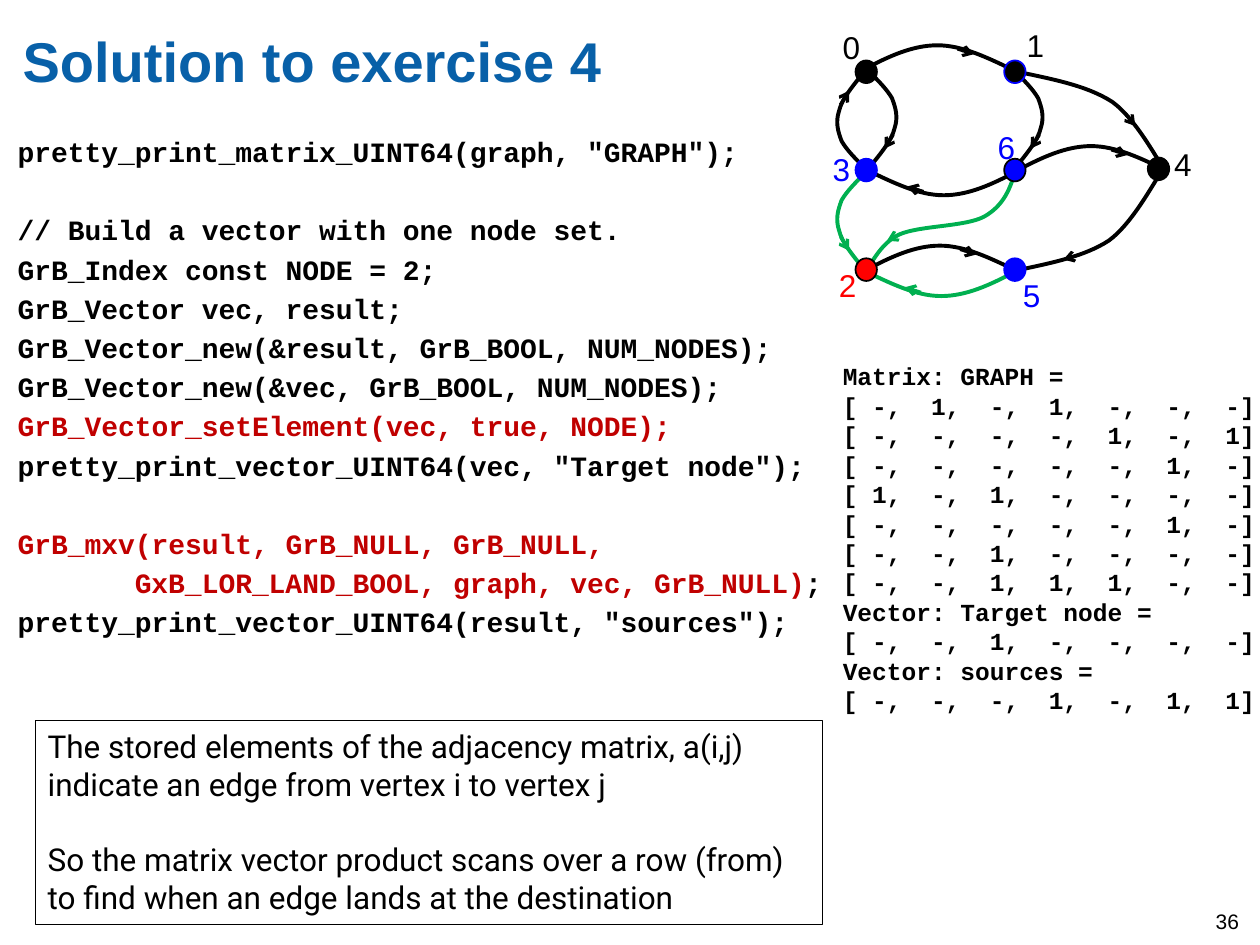
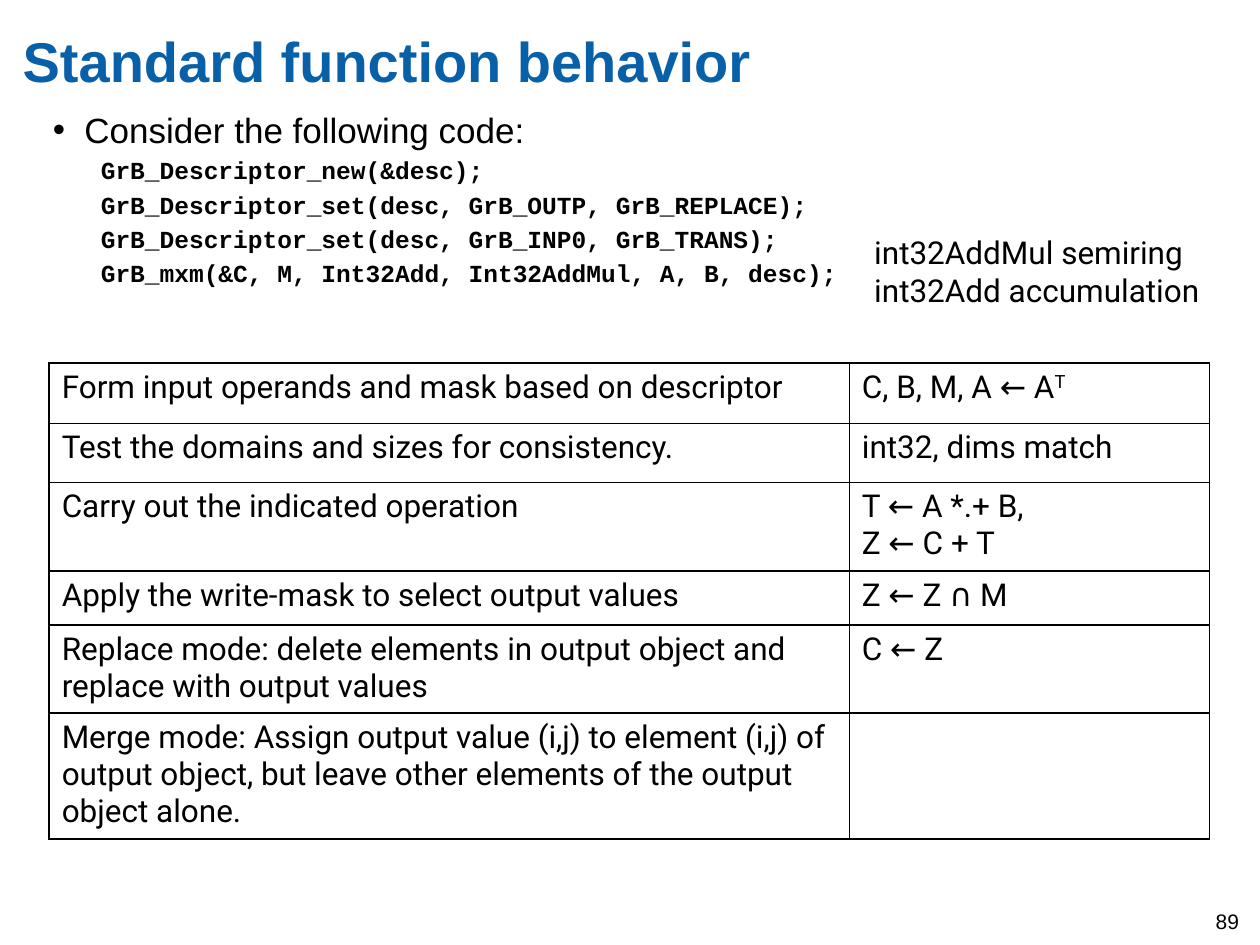
from dataclasses import dataclass, replace
from pptx import Presentation
from pptx.dml.color import RGBColor
from pptx.enum.shapes import MSO_CONNECTOR, MSO_SHAPE
from pptx.enum.text import MSO_ANCHOR, PP_ALIGN
from pptx.oxml.ns import qn
from pptx.util import Inches, Pt
from lxml.etree import SubElement

BLACK, TITLE_BLUE, DARK_RED = "000000", "0860A8", "C00000"
BLUE, RED, GREEN = "0000FF", "FF0000", "00B050"


@dataclass(frozen=True)
class Style:
    """Character formatting of a run."""
    size: float
    font: str
    colour: str = BLACK
    bold: bool = False


@dataclass(frozen=True)
class Line:
    """A paragraph: its (text, style) runs, space before, indent and bullet."""
    runs: tuple
    space: float = 0
    indent: float = 0
    bullet: str = ""


TITLE = Style(32, "Arial", TITLE_BLUE, True)
BULLET = Style(20, "Arial")
LABEL = Style(18, "Arial")
PAGE_NUMBER = Style(12, "Arial")
NOTE = Style(18, "Roboto")
CODE = Style(16, "Courier New", bold=True)
CODE_RED = replace(CODE, colour=DARK_RED)
SMALL_CODE = replace(CODE, size=14)

CODE_GAP = 3.2
SECTION_GAP = 25.5
CALL_INDENT = 0.93

SOLUTION_CODE = [
    Line((('pretty_print_matrix_UINT64(graph, "GRAPH");', CODE),), CODE_GAP),
    Line((("// Build a vector with one node set.", CODE),), SECTION_GAP),
    Line((("GrB_Index const NODE = 2;", CODE),), CODE_GAP),
    Line((("GrB_Vector vec, result;", CODE),), CODE_GAP),
    Line((("GrB_Vector_new(&result, GrB_BOOL, NUM_NODES);", CODE),), CODE_GAP),
    Line((("GrB_Vector_new(&vec, GrB_BOOL, NUM_NODES);", CODE),), CODE_GAP),
    Line((("GrB_Vector_setElement(vec, true, NODE);", CODE_RED),), CODE_GAP),
    Line((('pretty_print_vector_UINT64(vec, "Target node");', CODE),), CODE_GAP),
    Line((("GrB_mxv(result, GrB_NULL, GrB_NULL,", CODE_RED),), SECTION_GAP),
    Line((("GxB_LOR_LAND_BOOL, graph, vec, GrB_NULL)", CODE_RED), (";", CODE)),
         CODE_GAP, CALL_INDENT),
    Line((('pretty_print_vector_UINT64(result, "sources");', CODE),), CODE_GAP),
]

PRINTED_OUTPUT = [
    ("Matrix: GRAPH =", ["-1-1---", "----1-1", "-----1-", "1-1----",
                         "-----1-", "--1----", "--111--"]),
    ("Vector: Target node =", ["--1----"]),
    ("Vector: sources =", ["---1-11"]),
]

DESCRIPTOR_CODE = [
    "GrB_Descriptor_new(&desc);",
    "GrB_Descriptor_set(desc, GrB_OUTP, GrB_REPLACE);",
    "GrB_Descriptor_set(desc, GrB_INP0, GrB_TRANS);",
    "GrB_mxm(&C, M, Int32Add, Int32AddMul, A, B, desc);",
]

STEPS = [
    (0.48, "Form input operands and mask based on descriptor", ["C, B, M, A ← A"]),
    (0.47, "Test the domains and sizes for consistency.", ["int32, dims match"]),
    (0.51, "Carry out the indicated operation", ["T ← A *.+ B,", "Z ← C + T"]),
    (0.43, "Apply the write-mask to select output values", ["Z ← Z ∩ M"]),
    (0.43, "Replace mode: delete elements in output object and replace with "
           "output values", ["C ← Z"]),
    (0.43, "Merge mode: Assign output value (i,j) to element (i,j) of output "
           "object, but leave other elements of the output object alone.", []),
]

SWEEP_POINTS = [(0, 0), (-0.07, 0.1), (-0.23, 0.41), (-0.42, 0.55),
                (-0.62, 0.68), (-0.89, 0.73), (-1.17, 0.79)]
ARCH = ([(0, 0), (0.19, -0.1), (0.38, -0.19), (0.58, -0.19),
         (0.78, -0.19), (0.98, -0.09), (1.19, 0.01)],
        [(0.74, -0.16), (0.87, -0.12)])
BOW = ([(0, 0), (0.07, 0.07), (0.14, 0.14), (0.18, 0.21), (0.21, 0.29),
        (0.23, 0.36), (0.2, 0.45), (0.18, 0.54), (0.09, 0.65), (0, 0.76)],
       [(0.19, 0.5), (0.12, 0.61)])
SWEEP_OUT = (SWEEP_POINTS, [(-0.65, 0.66), (-0.78, 0.7)])
SWEEP_IN = (SWEEP_POINTS, [(-0.32, 0.46), (-0.24, 0.36)])
DIP = ([(0, 0), (-0.04, 0.14), (-0.09, 0.28), (-0.25, 0.37), (-0.4, 0.45),
        (-0.76, 0.44), (-0.92, 0.51), (-1.07, 0.58), (-1.13, 0.73), (-1.18, 0.78)],
       [(-0.9, 0.5), (-1.02, 0.56)])

EDGES = [
    (BOW, 6.86, 1.33, -1, -1, BLACK),
    (BOW, 6.9, 0.57, 1, 1, BLACK),
    (ARCH, 6.86, 0.55, 1, 1, BLACK),
    (DIP, 8.06, 1.35, 1, 1, GREEN),
    (ARCH, 8.08, 1.35, 1, 1, BLACK),
    (ARCH, 6.88, 2.14, 1, 1, BLACK),
    (ARCH, 8.05, 2.16, -1, -1, GREEN),
    (ARCH, 8.07, 1.36, -1, -1, BLACK),
    (BOW, 6.86, 1.38, -1, 1, GREEN),
    (BOW, 8.06, 0.57, 1, 1, BLACK),
    (SWEEP_OUT, 9.22, 1.36, 1, 1, BLACK),
    (SWEEP_IN, 9.25, 1.36, 1, -1, BLACK),
]

NODES = [
    ("5", 7.97, 2.05, BLUE, BLUE, 8.02, 2.14, BLUE),
    ("3", 6.79, 1.26, BLUE, BLUE, 6.51, 1.14, BLUE),
    ("2", 6.79, 2.05, RED, BLACK, 6.56, 2.06, RED),
    ("1", 7.97, 0.48, BLACK, BLUE, 8.05, 0.16, BLACK),
    ("0", 6.79, 0.48, BLACK, BLACK, 6.59, 0.17, BLACK),
    ("4", 9.11, 1.25, BLACK, BLACK, 9.22, 1.1, BLACK),
    ("6", 7.97, 1.26, BLUE, BLACK, 7.82, 0.97, BLUE),
]


def colour(value):
    """Turn a hex string into a colour."""
    return RGBColor.from_string(value)


def set_line(shape, value, width):
    """Give a shape or connector a solid line."""
    shape.line.color.rgb = colour(value)
    shape.line.width = Pt(width)


def add_run(paragraph, text, style):
    """Append one formatted run."""
    run = paragraph.add_run()
    run.text = text
    run.font.size = Pt(style.size)
    run.font.name = style.font
    run.font.bold = style.bold
    run.font.color.rgb = colour(style.colour)
    return run


def write_lines(frame, lines):
    """Write the lines as the paragraphs of a text frame."""
    for index, line in enumerate(lines):
        paragraph = frame.add_paragraph() if index else frame.paragraphs[0]
        paragraph.alignment = PP_ALIGN.LEFT
        paragraph.space_before = Pt(line.space)
        if line.indent:
            properties = paragraph._p.get_or_add_pPr()
            properties.set("marL", str(Inches(line.indent)))
            properties.set("indent", str(-Inches(line.indent) if line.bullet else 0))
            if line.bullet:
                SubElement(properties, qn("a:buFont")).set("typeface", "Arial")
                SubElement(properties, qn("a:buChar")).set("char", line.bullet)
        for text, style in line.runs:
            add_run(paragraph, text, style)


def plain_lines(texts, style, space=0, indent=0):
    """Make one single-run line for each text."""
    return [Line(((text, style),), space, indent) for text in texts]


def add_text(shapes, left, top, width, height, lines, inset=True, wrap=True):
    """Add a text box holding the lines."""
    box = shapes.add_textbox(Inches(left), Inches(top), Inches(width), Inches(height))
    frame = box.text_frame
    frame.word_wrap = wrap
    if not inset:
        frame.margin_left = frame.margin_right = 0
        frame.margin_top = frame.margin_bottom = 0
    write_lines(frame, lines)


def add_base(presentation, title, number):
    """Add a blank slide with its title and page number."""
    slide = presentation.slides.add_slide(presentation.slide_layouts[6])
    add_text(slide.shapes, 0.18, 0.21, 9.01, 0.97,
             plain_lines([title], TITLE), inset=False)
    add_text(slide.shapes, 9.55, 7.16, 0.45, 0.33, plain_lines([number], PAGE_NUMBER))
    return slide


def bend_segments(freeform):
    """Turn each three straight segments of a freeform into one cubic curve."""
    outline = freeform._element.find(".//" + qn("a:path"))
    segments = outline.findall(qn("a:lnTo"))
    for start in range(0, len(segments), 3):
        curve = SubElement(outline, qn("a:cubicBezTo"))
        for segment in segments[start:start + 3]:
            curve.append(segment[0])
            outline.remove(segment)


def add_edge(shapes, curve, left, top, flip_x, flip_y, value):
    """Draw a curved edge from its start point, with an arrowhead along it."""
    controls, arrow = ([(Inches(left + flip_x * x), Inches(top + flip_y * y))
                        for x, y in points] for points in curve)
    connector = shapes.add_connector(MSO_CONNECTOR.STRAIGHT, *arrow[0], *arrow[1])
    set_line(connector, value, 1.75)
    SubElement(connector.line._get_or_add_ln(), qn("a:tailEnd")).set("type", "arrow")
    SubElement(connector._element.spPr, qn("a:effectLst"))

    builder = shapes.build_freeform(*controls[0])
    builder.add_line_segments(controls[1:], close=False)
    freeform = builder.convert_to_shape()
    bend_segments(freeform)
    freeform.fill.background()
    freeform.shadow.inherit = False
    set_line(freeform, value, 2.25)


def add_node(shapes, name, left, top, fill, outline, label_left, label_top, label_colour):
    """Draw a graph node and its label."""
    node = shapes.add_shape(MSO_SHAPE.OVAL, Inches(left), Inches(top),
                            Inches(0.17), Inches(0.18))
    node.shadow.inherit = False
    node.fill.solid()
    node.fill.fore_color.rgb = colour(fill)
    set_line(node, outline, 1)
    add_text(shapes, label_left, label_top, 0.34, 0.4,
             plain_lines([name], replace(LABEL, colour=label_colour)), wrap=False)


def add_callout(shapes, left, top, width, height, lines):
    """Add an outlined rectangle holding the lines."""
    callout = shapes.add_shape(MSO_SHAPE.RECTANGLE, Inches(left), Inches(top),
                               Inches(width), Inches(height))
    callout.shadow.inherit = False
    callout.fill.background()
    set_line(callout, BLACK, 0.75)
    callout.text_frame.word_wrap = True
    callout.text_frame.vertical_anchor = MSO_ANCHOR.TOP
    write_lines(callout.text_frame, lines)


def style_cell(cell):
    """Give a cell black borders and no fill."""
    properties = cell._tc.get_or_add_tcPr()
    for side in ("lnL", "lnR", "lnT", "lnB"):
        border = SubElement(properties, qn(f"a:{side}"), w=str(Pt(1)))
        fill = SubElement(border, qn("a:solidFill"))
        SubElement(fill, qn("a:srgbClr")).set("val", BLACK)
    cell.fill.background()


def add_steps_table(shapes):
    """Add the table of steps and their results."""
    frame = shapes.add_table(len(STEPS), 2, Inches(0.39), Inches(2.88),
                             Inches(9.21), Inches(3.77))
    table = frame.table
    table.first_row = table.horz_banding = False
    table.columns[0].width, table.columns[1].width = Inches(6.35), Inches(2.86)
    for index, (height, step, results) in enumerate(STEPS):
        table.rows[index].height = Inches(height)
        for column, texts in enumerate(([step], results)):
            cell = table.cell(index, column)
            style_cell(cell)
            write_lines(cell.text_frame, plain_lines(texts, NOTE))
    frame.height = Inches(3.77)
    transpose = add_run(table.cell(0, 1).text_frame.paragraphs[0], "T", NOTE)
    transpose._r.get_or_add_rPr().set("baseline", "30000")


def build_solution(presentation):
    """Build the slide with the code, the graph and the printed output."""
    shapes = add_base(presentation, "Solution to exercise 4", "36").shapes
    add_text(shapes, 0.14, 1.07, 6.83, 5.03, SOLUTION_CODE, inset=False)
    output = []
    for heading, rows in PRINTED_OUTPUT:
        output += [heading] + [f"[ {',  '.join(row)}]" for row in rows]
    add_text(shapes, 6.59, 2.82, 3.52, 2.93, plain_lines(output, SMALL_CODE))
    add_callout(shapes, 0.28, 5.72, 6.25, 1.62, [
        Line((("The stored elements of the adjacency matrix, a(i,j) indicate "
               "an edge from vertex i to vertex j", NOTE),)),
        Line((("So the matrix vector product scans over a row (from) to find "
               "when an edge lands at the destination", NOTE),), 21.5)])
    graph = shapes.add_group_shape().shapes
    for edge in EDGES:
        add_edge(graph, *edge)
    for node in NODES:
        add_node(graph, *node)


def build_behavior(presentation):
    """Build the slide with the descriptor code and the table of steps."""
    shapes = add_base(presentation, "Standard function behavior", "89").shapes
    heading = Line((("Consider the following code:", BULLET),), 4, 0.25, "•")
    add_text(shapes, 0.42, 0.86, 9.15, 1.66,
             [heading] + plain_lines(DESCRIPTOR_CODE, SMALL_CODE, 2.8, 0.38), inset=False)
    add_steps_table(shapes)
    add_text(shapes, 6.84, 1.8, 2.97, 0.71,
             plain_lines(["int32AddMul semiring", "int32Add accumulation"], NOTE))


def main():
    """Build and save the presentation."""
    presentation = Presentation()
    presentation.slide_width, presentation.slide_height = Inches(10), Inches(7.5)
    build_solution(presentation)
    build_behavior(presentation)
    presentation.save("out.pptx")


if __name__ == "__main__":
    main()
